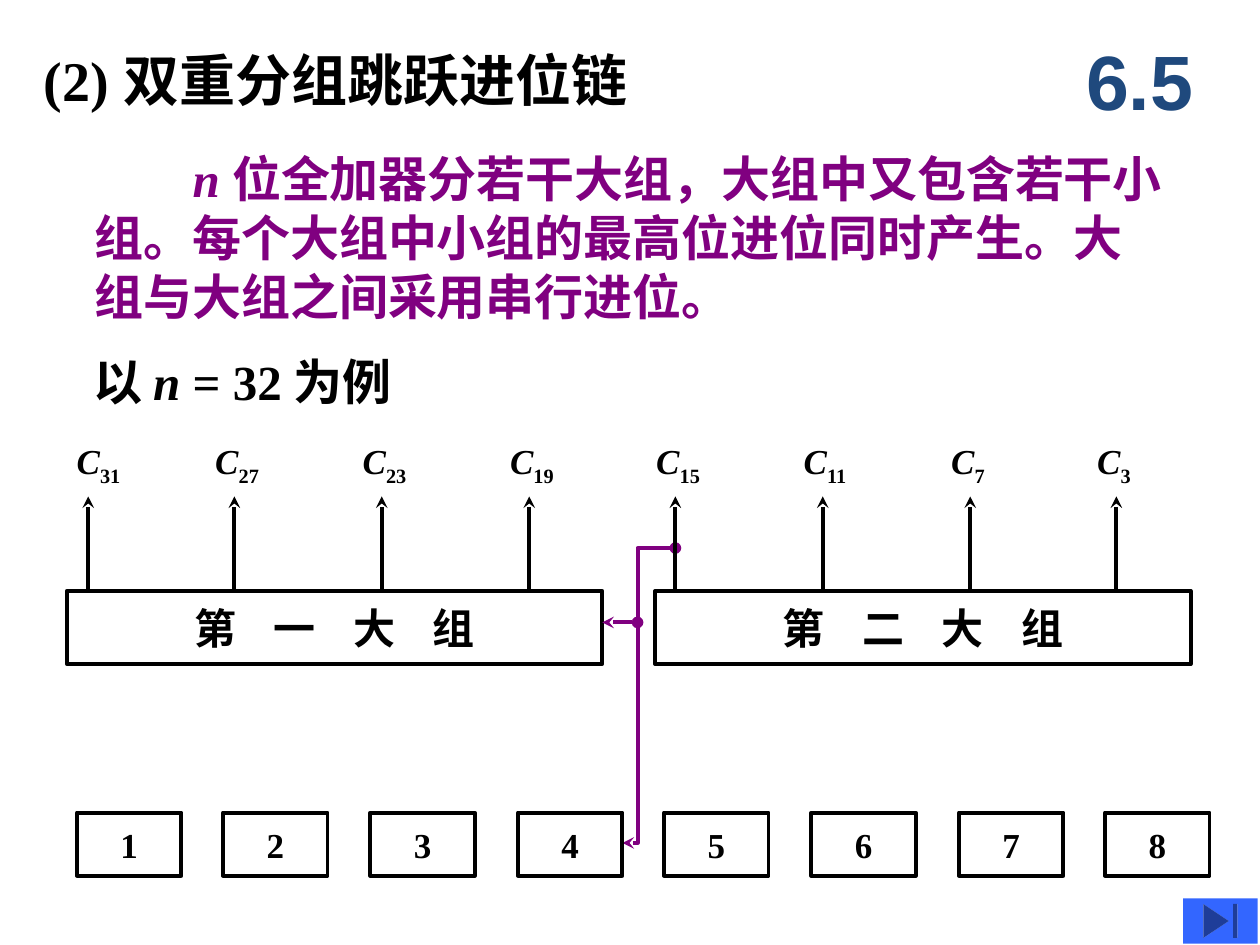
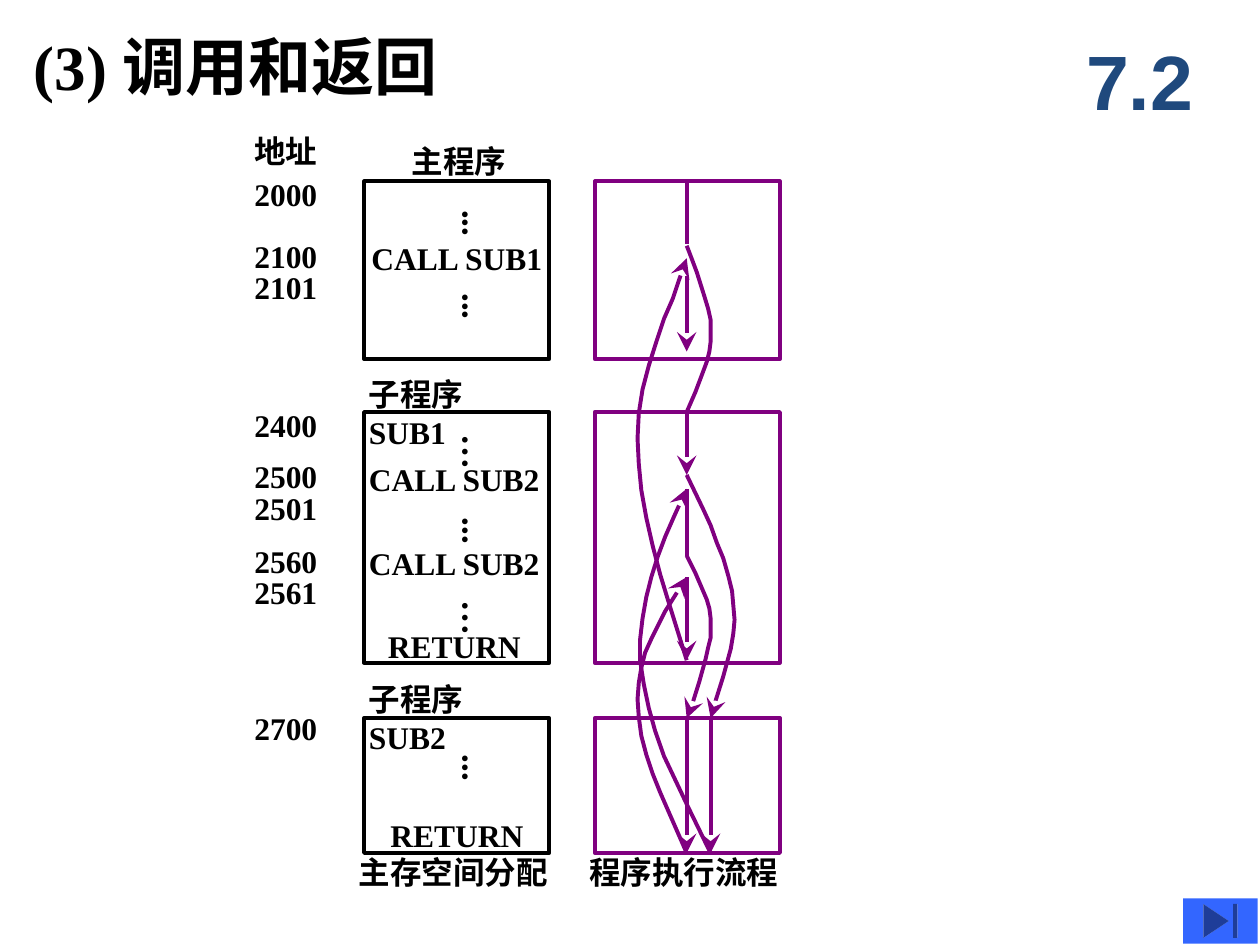
"""Build two lecture slides: a grouped carry chain and nested subroutine calls."""
from dataclasses import dataclass

from lxml.etree import SubElement
from pptx import Presentation
from pptx.dml.color import RGBColor
from pptx.enum.shapes import MSO_CONNECTOR, MSO_SHAPE
from pptx.enum.text import MSO_ANCHOR, PP_ALIGN
from pptx.oxml.ns import qn
from pptx.util import Pt

SCALE = 9144


@dataclass(frozen=True)
class Theme:
    ink: str = "000000"
    flow: str = "800080"
    mark: str = "1F497D"
    button: str = "3366FF"
    serif: str = "Times New Roman"
    sans: str = "Arial"
    badge: int = 44
    head: int = 36
    title: int = 32
    body: int = 28
    group: int = 24
    label: int = 20
    code: int = 18
    stroke: float = 2.25


THEME = Theme()


def px(*nums):
    return [round(n * SCALE) for n in nums]


def rgb(code):
    return RGBColor.from_string(code)


def style(run, size, color=THEME.ink, face=THEME.serif):
    font = run.font
    font.size, font.bold, font.name = Pt(size), True, face
    font.color.rgb = rgb(color)


def text(slide, words, area, size, color=THEME.ink, face=THEME.serif,
         wrap=False, middle=False, flush=False):
    """Words are a string, or a list of (string, is italic) runs."""
    frame = slide.shapes.add_textbox(*px(*area)).text_frame
    frame.word_wrap = wrap
    if middle:
        frame.vertical_anchor = MSO_ANCHOR.MIDDLE
    if flush:
        frame.margin_left = frame.margin_right = 0
        frame.margin_top = frame.margin_bottom = 0
    para = frame.paragraphs[0]
    if isinstance(words, str):
        para.text = words
    else:
        for part, slant in words:
            run = para.add_run()
            run.text = part
            run.font.italic = slant
    for run in para.runs:
        style(run, size, color, face)
    return frame


def stroke(shape, color, start=None, end=None, size="med"):
    shape.line.color.rgb = rgb(color)
    shape.line.width = Pt(THEME.stroke)
    props = shape.line._get_or_add_ln()
    for tag, kind in (("a:headEnd", start), ("a:tailEnd", end)):
        if kind:
            SubElement(props, qn(tag), type=kind, w=size, len=size)


def box(slide, area, color=THEME.ink, words="", size=THEME.label, space=0):
    shape = slide.shapes.add_shape(MSO_SHAPE.RECTANGLE, *px(*area))
    shape.shadow.inherit = False
    shape.fill.background()
    stroke(shape, color)
    if words:
        frame = shape.text_frame
        frame.text = words
        frame.vertical_anchor = MSO_ANCHOR.MIDDLE
        frame.paragraphs[0].alignment = PP_ALIGN.CENTER
        for run in frame.paragraphs[0].runs:
            style(run, size)
            if space:
                run._r.get_or_add_rPr().set("spc", str(space))


def line(slide, ends, color, **tips):
    link = slide.shapes.add_connector(MSO_CONNECTOR.STRAIGHT, *px(*ends))
    stroke(link, color, **tips)
    SubElement(link._element.spPr, qn("a:effectLst"))


def curve(slide, points, **tips):
    pen = slide.shapes.build_freeform(*points[0], scale=SCALE)
    pen.add_line_segments(points[1:], close=False)
    shape = pen.convert_to_shape()
    shape.shadow.inherit = False
    shape.fill.background()
    stroke(shape, THEME.flow, **tips)


def base(deck, title, area, size, number):
    """Add a slide with its title, section number and end button."""
    slide = deck.slides.add_slide(deck.slide_layouts[6])
    text(slide, title, area, size, wrap=True, middle=True)
    badge = text(slide, number, (842, 17, 125, 92), THEME.badge,
                 THEME.mark, THEME.sans, wrap=True, middle=True)
    badge.paragraphs[0].alignment = PP_ALIGN.CENTER
    button = slide.shapes.add_shape(MSO_SHAPE.ACTION_BUTTON_END,
                                    *px(939, 713, 59, 36))
    button.shadow.inherit = False
    button.fill.solid()
    button.fill.fore_color.rgb = rgb(THEME.button)
    button.line.fill.background()
    return slide


def carry(slide, index, number):
    """Draw one carry output above its group, and its small group below."""
    step = index * 350 // 3
    left = 70 + step
    line(slide, (left, 469, left, 394), THEME.ink, end="stealth")
    frame = text(slide, [("C", True), (str(number), False)],
                 (max(51, left - 25), 344, 39 + 9 * len(str(number)), 43),
                 THEME.label)
    frame.paragraphs[0].runs[1]._r.get_or_add_rPr().set("baseline", "-25000")
    box(slide, (61 + step, 645, 83, 50), words=str(index + 1))


def chain(deck):
    slide = base(deck, "(2) 双重分组跳跃进位链", (25, 25, 792, 75),
                 THEME.title, "6.5")
    intro = text(slide, [("n ", True), (
        "位全加器分若干大组，大组中又包含若干小组。每个大组中小组的最高位"
        "进位同时产生。大组与大组之间采用串行进位。", False)],
        (75, 92, 850, 192), THEME.body, THEME.flow,
        wrap=True, middle=True, flush=True)
    intro.paragraphs[0]._p.get_or_add_pPr().set("indent", str(78 * SCALE))
    text(slide, [("以 ", False), ("n", True), (" = 32 为例", False)],
         (74, 283, 276, 39), THEME.body, wrap=True, middle=True, flush=True)
    for left, words in ((53, "第 一 大 组"), (520, "第 二 大 组")):
        box(slide, (left, 469, 425, 58), words=words,
            size=THEME.group, space=800)
    line(slide, (478, 494, 506, 494), THEME.flow, start="stealth", end="oval")
    curve(slide, [(494, 669), (506, 669), (506, 435), (536, 435)],
          start="stealth", end="oval")
    for index, number in enumerate(range(31, 0, -4)):
        carry(slide, index, number)


BLOCKS = ((144, 141), (327, 199), (570, 107))

PLACES = (("地址", 100), ("2000", 134), ("2100", 183), ("2101", 208),
          ("2400", 317), ("2500", 358), ("2501", 383), ("2560", 425),
          ("2561", 450), ("2700", 558))

CODES = (("CALL SUB1", 285, 185, 157), ("CALL SUB2", 283, 360, 157),
         ("CALL SUB2", 283, 427, 157), ("RETURN", 298, 493, 126),
         ("RETURN", 300, 643, 126), ("主程序", 317, 108, 96),
         ("主存空间分配", 275, 672, 171), ("程序执行流程", 458, 672, 171))

DOTS = (("...", 157, 31), ("...", 223, 31), ("…", 335, 38),
        ("...", 401, 31), ("…", 467, 38), ("...", 589, 31))

STEPS = ((545, 144, 194, None), (545, 219, 279, "stealth"),
         (545, 327, 377, "stealth"), (545, 388, 441, None),
         (545, 458, 524, "stealth"), (545, 570, 677, "stealth"),
         (564, 570, 677, "stealth"))

CALLS = (
    ((545, 441), (552, 455), (558, 469), (561, 476), (563, 483), (564, 491),
     (564, 506), (562, 514), (560, 523), (555, 541), (550, 557), (545, 570)),
    ((545, 377), (558, 404), (564, 417), (569, 431), (574, 443), (578, 457),
     (581, 469), (583, 492), (582, 503), (580, 515), (574, 537), (568, 556),
     (564, 570)),
)

RETURNS = (
    ((564, 677), (545, 638), (527, 600), (520, 580), (515, 562), (511, 543),
     (508, 524), (508, 508), (510, 491), (513, 474), (517, 458), (522, 442),
     (528, 426), (535, 410), (545, 388)),
    ((545, 677), (531, 645), (524, 629), (518, 614), (513, 599), (509, 584),
     (507, 569), (506, 555), (507, 542), (509, 530), (512, 518), (517, 507),
     (528, 485), (545, 458)),
    ((545, 524), (531, 479), (524, 456), (518, 433), (513, 411), (509, 389),
     (507, 368), (506, 348), (507, 328), (510, 309), (515, 290), (521, 271),
     (527, 253), (534, 237), (539, 222), (545, 205)),
)

ENTRY = ((545, 327), (552, 311), (558, 295), (561, 287), (563, 279),
         (564, 271), (564, 254), (562, 245), (559, 235), (553, 216),
         (547, 200), (545, 195))


def flow(slide):
    """Draw the order in which the program runs."""
    for left, top, foot, end in STEPS:
        line(slide, (left, top, left, foot), THEME.flow, end=end, size="lg")
    for points in CALLS + RETURNS:
        curve(slide, points, end="stealth", size="lg")
    curve(slide, ENTRY)


def calls(deck):
    slide = base(deck, "(3) 调用和返回", (17, 17, 570, 70),
                 THEME.head, "7.2")
    for left, color in ((289, THEME.ink), (472, THEME.flow)):
        for top, height in BLOCKS:
            box(slide, (left, top, 147, height), color)
    flow(slide)
    for words, top in PLACES:
        text(slide, words, (192, top, 70, 40), THEME.code)
    for words, left, top, width in CODES:
        text(slide, words, (left, top, width, 40), THEME.code)
    for name, top in (("SUB1", 293), ("SUB2", 535)):
        text(slide, "子程序\v" + name, (283, top, 157, 40),
             THEME.code, wrap=True)
    for words, top, height in DOTS:
        frame = text(slide, words, (347, top, 53, height), THEME.label)
        frame._txBody.bodyPr.set("vert", "eaVert")


def main():
    deck = Presentation()
    deck.slide_width, deck.slide_height = px(1000, 750)
    chain(deck)
    calls(deck)
    deck.save("out.pptx")


if __name__ == "__main__":
    main()
